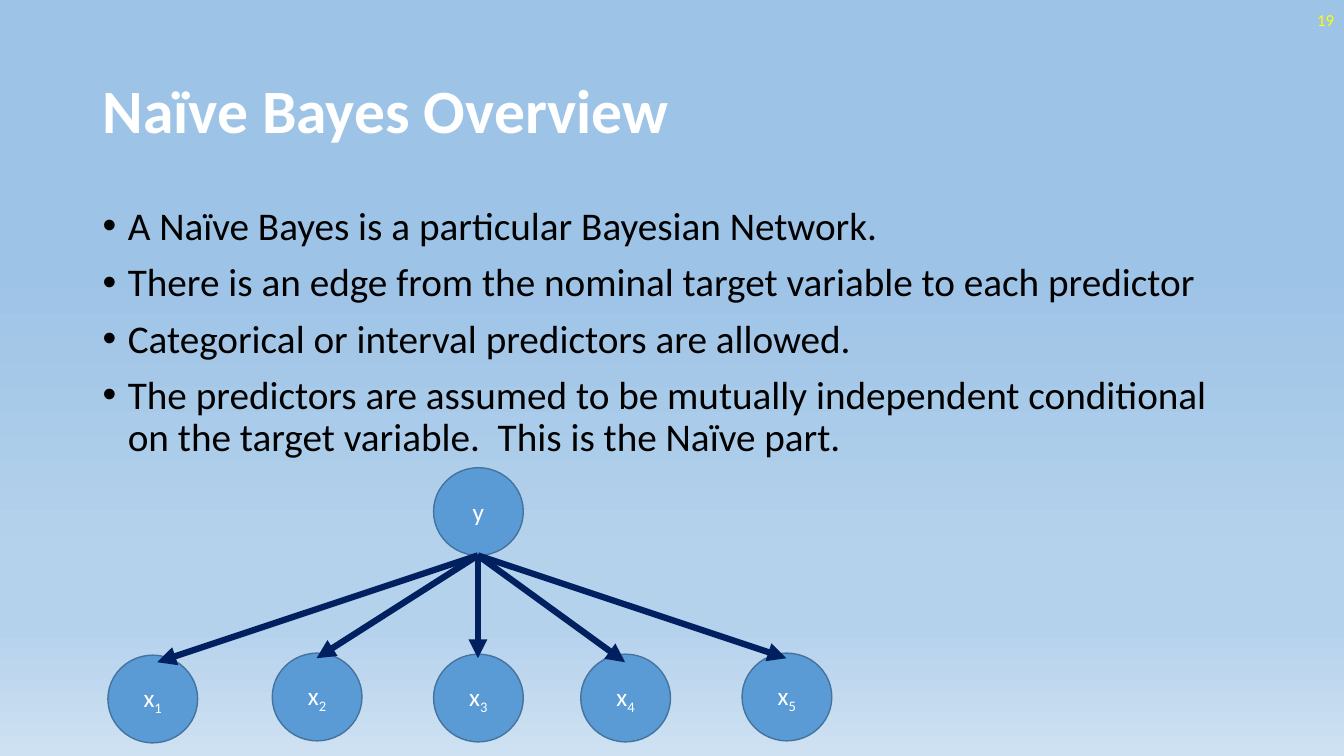
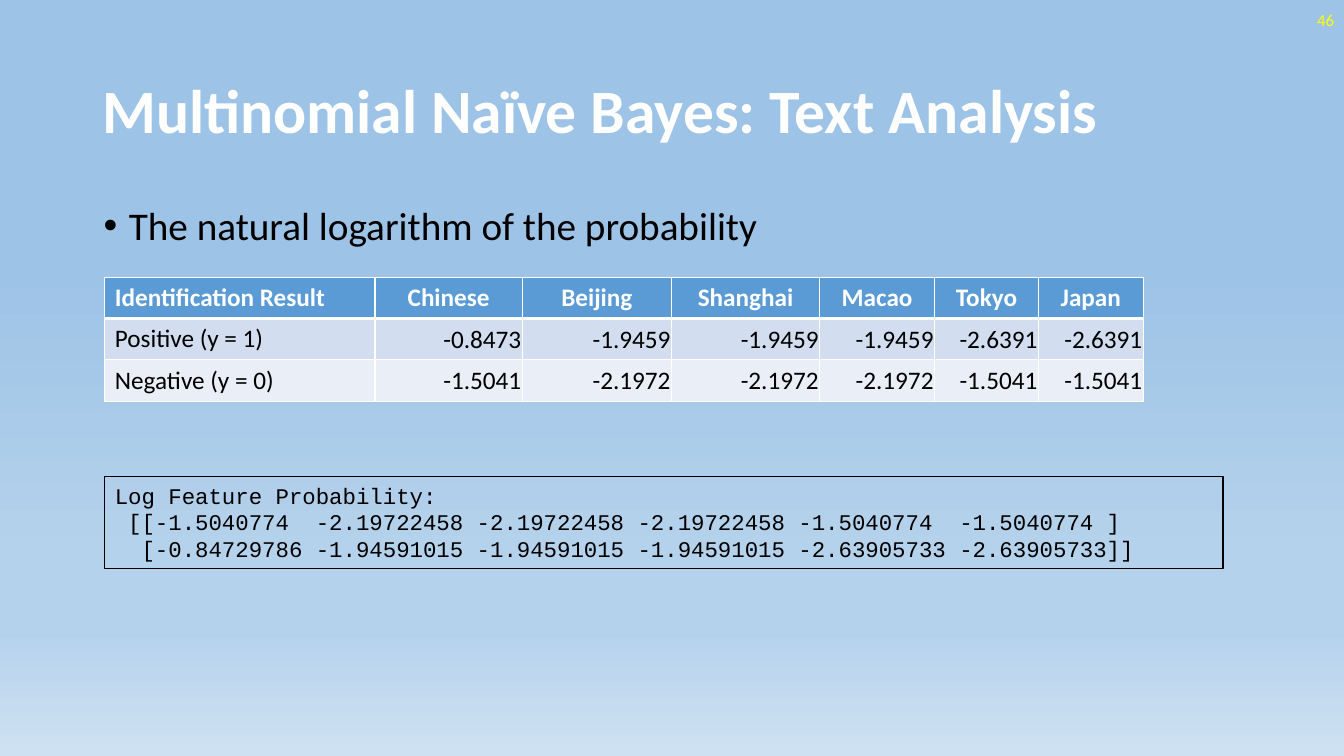
from dataclasses import dataclass

from lxml.etree import SubElement
from pptx import Presentation
from pptx.dml.color import RGBColor
from pptx.enum.shapes import MSO_CONNECTOR as Connector, MSO_SHAPE as Shape
from pptx.enum.text import MSO_ANCHOR as Anchor, MSO_AUTO_SIZE as AutoSize, PP_ALIGN as Align
from pptx.oxml.ns import qn
from pptx.util import Emu, Pt

EMU_PER_PX = 9144  # 100 px to the inch


def px(length):
    return Emu(length * EMU_PER_PX)


@dataclass(frozen=True)
class Theme:
    font: str = "Calibri"
    mono: str = "Courier New"
    white: str = "FFFFFF"
    black: str = "000000"
    yellow: str = "FFFF00"
    blue: str = "5B9BD5"
    outline: str = "43739E"
    navy: str = "002060"
    bands: tuple = ("D2DEEF", "EAEFF7")
    background: tuple = ((35, "9DC3E6"), (74, "B5D2EC"), (83, "B5D2EC"), (100, "CEE1F2"))
    title_size: int = 44
    body_size: int = 28
    label_size: int = 18
    code_size: int = 16
    number_size: int = 12


class Board:
    """Holds the deck, its theme and the slide being filled."""

    def __init__(self, theme):
        self.theme = theme
        self.deck = Presentation()
        self.deck.slide_width, self.deck.slide_height = px(1333), px(750)
        self.slide = None
        self.paint_background()

    def paint_background(self):
        master = self.deck.slide_master
        fill = master.background.fill
        fill.gradient()
        fill.gradient_angle = 270
        stops = master.element.find(".//" + qn("a:gsLst"))
        for stop in list(stops):
            stops.remove(stop)
        for percent, color in self.theme.background:
            stop = SubElement(stops, qn("a:gs"), pos=str(percent * 1000))
            SubElement(stop, qn("a:srgbClr"), val=color)

    def add_slide(self, title, number):
        theme = self.theme
        self.slide = self.deck.slides.add_slide(self.deck.slide_layouts[6])
        para = self.text_box(92, 40, 1150, 145, Anchor.MIDDLE).paragraphs[0]
        para.line_spacing = 0.9
        self.span(para, title, theme.title_size, theme.white, bold=True)
        para = self.text_box(1033, 0, 300, 40, Anchor.MIDDLE).paragraphs[0]
        para.alignment = Align.RIGHT
        self.span(para, number, theme.number_size, theme.yellow)

    def text_box(self, left, top, width, height, anchor=Anchor.TOP):
        box = self.slide.shapes.add_textbox(px(left), px(top), px(width), px(height))
        frame = box.text_frame
        frame.word_wrap = True
        frame.vertical_anchor = anchor
        return frame

    def span(self, para, text, size, color, bold=False, font=None):
        span = para.add_run()
        span.text = text
        span.font.name = font or self.theme.font
        span.font.size = Pt(size)
        span.font.bold = bold
        span.font.color.rgb = RGBColor.from_string(color)
        return span

    def paragraphs(self, frame, lines):
        """Yield one paragraph of the frame with each line of text."""
        for index, line in enumerate(lines):
            yield (frame.add_paragraph() if index else frame.paragraphs[0]), line

    def bullets(self, left, lines):
        frame = self.text_box(left, 200, 1150, 476)
        for para, line in self.paragraphs(frame, lines):
            para.line_spacing = 0.9
            para.space_before = Pt(10)
            props = para._p.get_or_add_pPr()
            props.set("marL", str(px(25)))
            props.set("indent", str(-px(25)))
            SubElement(props, qn("a:buFont"), typeface="Arial")
            SubElement(props, qn("a:buChar"), char="•")
            self.span(para, line, self.theme.body_size, self.theme.black)

    def shape(self, kind, left, top, width, height, line, weight, fill=None):
        shape = self.slide.shapes.add_shape(kind, px(left), px(top), px(width), px(height))
        shape.shadow.inherit = False
        if fill:
            shape.fill.solid()
            shape.fill.fore_color.rgb = RGBColor.from_string(fill)
        else:
            shape.fill.background()
        shape.line.color.rgb = RGBColor.from_string(line)
        shape.line.width = Pt(weight)
        shape.text_frame.word_wrap = True
        return shape

    def node(self, left, top, name, subscript=""):
        theme = self.theme
        circle = self.shape(Shape.OVAL, left, top, 89, 87, theme.outline, 1, theme.blue)
        circle.text_frame.vertical_anchor = Anchor.MIDDLE
        para = circle.text_frame.paragraphs[0]
        para.alignment = Align.CENTER
        self.span(para, name, theme.label_size, theme.white)
        if subscript:
            span = self.span(para, subscript, theme.label_size, theme.white)
            span._r.get_or_add_rPr().set("baseline", "-25000")

    def arrow(self, start, end):
        ends = [px(length) for length in (*start, *end)]
        arrow = self.slide.shapes.add_connector(Connector.STRAIGHT, *ends)
        arrow.line.color.rgb = RGBColor.from_string(self.theme.navy)
        arrow.line.width = Pt(4.5)
        SubElement(arrow.line._get_or_add_ln(), qn("a:tailEnd"), type="triangle")
        SubElement(arrow._element.spPr, qn("a:effectLst"))

    def code(self, left, top, width, height, lines):
        theme = self.theme
        frame = self.shape(Shape.RECTANGLE, left, top, width, height, theme.black, 0.75).text_frame
        frame.vertical_anchor = Anchor.TOP
        frame.auto_size = AutoSize.SHAPE_TO_FIT_TEXT
        for para, line in self.paragraphs(frame, lines):
            para.alignment = Align.LEFT
            self.span(para, line, theme.code_size, theme.black, font=theme.mono)

    def borders(self, cell, top, bottom):
        props = cell._tc.get_or_add_tcPr()
        for side, weight in (("L", 1), ("R", 1), ("T", top), ("B", bottom)):
            line = SubElement(props, qn("a:ln" + side), w=str(Pt(weight)))
            fill = SubElement(line, qn("a:solidFill"))
            SubElement(fill, qn("a:srgbClr"), val=self.theme.white)

    def table(self, left, top, widths, row_height, rows):
        """Draw a header row over banded rows of one label and its values."""
        theme = self.theme
        frame = self.slide.shapes.add_table(
            len(rows), len(widths), px(left), px(top), px(sum(widths)), px(row_height * len(rows)))
        table = frame.table
        for column, width in zip(table.columns, widths):
            column.width = px(width)
        for r, row in enumerate(rows):
            header = r == 0
            for c, text in enumerate(row):
                cell = table.cell(r, c)
                self.borders(cell, 3 if r == 1 else 1, 3 if header else 1)
                cell.fill.solid()
                fill = theme.blue if header else theme.bands[(r - 1) % 2]
                cell.fill.fore_color.rgb = RGBColor.from_string(fill)
                cell.vertical_anchor = Anchor.MIDDLE
                para = cell.text_frame.paragraphs[0]
                if c:
                    para.alignment = Align.CENTER if header else Align.RIGHT
                    if not header:
                        cell.margin_left = cell.margin_right = cell.margin_top = px(1)
                        cell.margin_bottom = 0
                color = theme.white if header else theme.black
                self.span(para, text, theme.label_size, color, bold=header)


def overview(board):
    board.add_slide("Naïve Bayes Overview", "19")
    board.bullets(92, [
        "A Naïve Bayes is a particular Bayesian Network.",
        "There is an edge from the nominal target variable to each predictor",
        "Categorical or interval predictors are allowed.",
        "The predictors are assumed to be mutually independent conditional "
        "on the target variable.  This is the Naïve part.",
    ])
    board.node(430, 464, "y")
    predictors = [(107, 650), (270, 648), (430, 649), (576, 649), (736, 648)]
    for number, (left, top) in enumerate(predictors, 1):
        board.node(left, top, "x", str(number))
    for tip in [(156, 657), (314, 653), (474, 653), (620, 657), (780, 653)]:
        board.arrow((474, 551), tip)


def text_analysis(board):
    board.add_slide("Multinomial Naïve Bayes: Text Analysis", "46")
    board.bullets(93, ["The natural logarithm of the probability"])
    board.table(104, 275, [268, 146, 148, 147, 114, 103, 104], 41, [
        ["Identification Result", "Chinese", "Beijing", "Shanghai", "Macao", "Tokyo", "Japan"],
        ["Positive (y = 1)", "-0.8473", "-1.9459", "-1.9459", "-1.9459", "-2.6391", "-2.6391"],
        ["Negative (y = 0)", "-1.5041", "-2.1972", "-2.1972", "-2.1972", "-1.5041", "-1.5041"],
    ])
    board.code(104, 473, 1109, 91, [
        "Log Feature Probability:",
        " [[-1.5040774  -2.19722458 -2.19722458 -2.19722458 -1.5040774  -1.5040774 ]",
        "  [-0.84729786 -1.94591015 -1.94591015 -1.94591015 -2.63905733 -2.63905733]]",
    ])


def main():
    board = Board(Theme())
    overview(board)
    text_analysis(board)
    board.deck.save("out.pptx")


if __name__ == "__main__":
    main()
